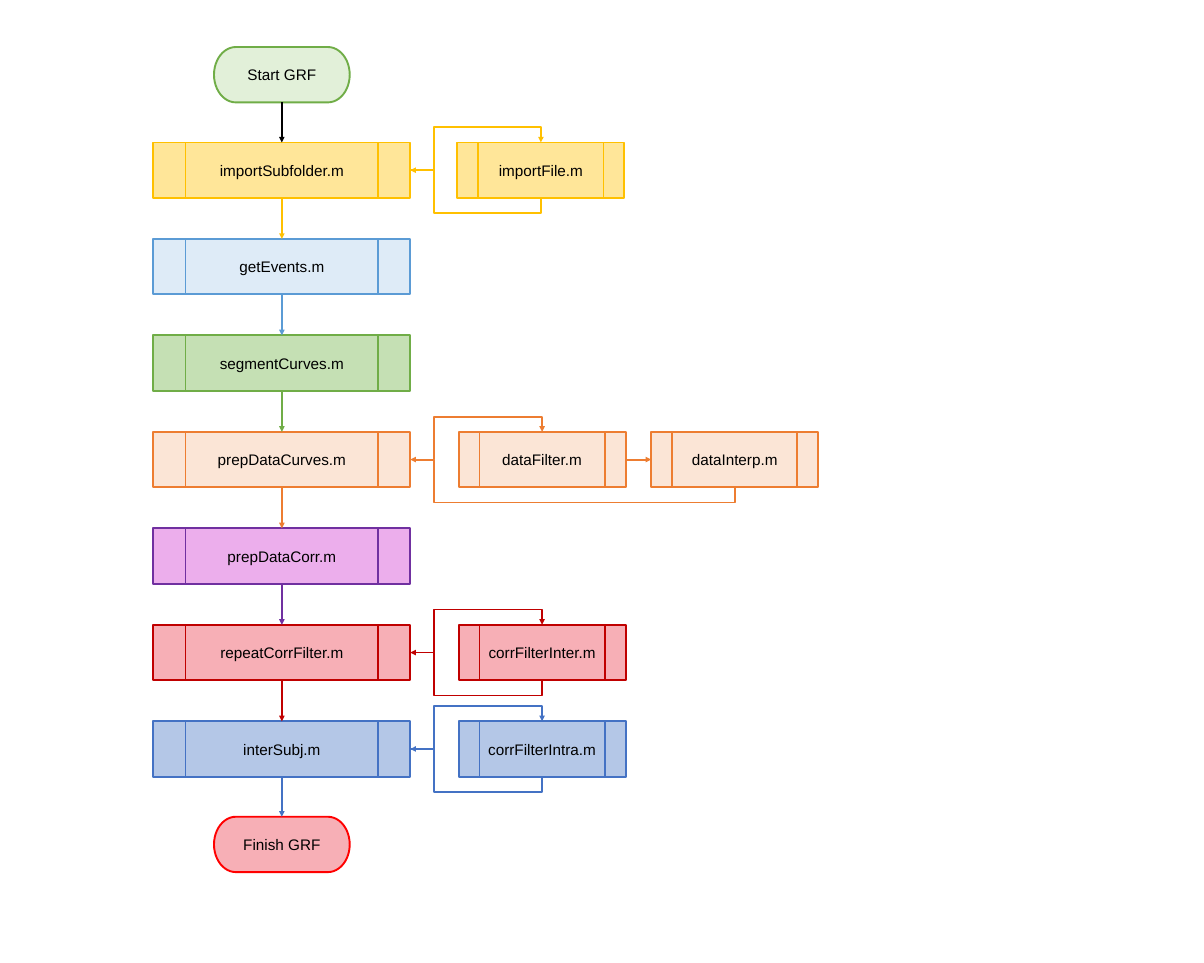
"""Draw the GRF script flow with its helper scripts."""
from dataclasses import dataclass
from itertools import pairwise
from typing import NamedTuple

from lxml.etree import SubElement
from pptx import Presentation
from pptx.dml.color import RGBColor
from pptx.enum.shapes import MSO_CONNECTOR, MSO_SHAPE
from pptx.enum.text import MSO_ANCHOR, PP_ALIGN
from pptx.oxml.ns import qn
from pptx.shapes.autoshape import Shape
from pptx.shapes.connector import Connector
from pptx.util import Pt


class Look(NamedTuple):
    fill: str
    line: str


@dataclass(frozen=True)
class Theme:
    font: str = "Arial"
    size: float = 18
    line: float = 2.25
    ink: str = "000000"
    start: Look = Look("E2F0D9", "70AD47")
    gold: Look = Look("FFE699", "FFC000")
    sky: Look = Look("DEEBF7", "5B9BD5")
    green: Look = Look("C5E0B4", "70AD47")
    peach: Look = Look("FBE5D6", "ED7D31")
    plum: Look = Look("ECAEEC", "7030A0")
    red: Look = Look("F7AFB6", "C00000")
    blue: Look = Look("B4C7E7", "4472C4")
    finish: Look = Look("F7AFB6", "FF0000")


class Step(NamedTuple):
    text: str
    look: Look
    left: float = 540
    helpers: tuple[str, ...] = ()


THEME = Theme()
MID, TOP, PITCH, END_GAP = 331.9, 167.8, 113.6, 112.4
HIGH, MAIN_W, END_W, SIDE_W, SIDE_STEP = 65.2, 302.4, 159.8, 196.6, 226.8
LANE, BUMP = Pt(MID + MAIN_W / 2 + 28), Pt(18)
NORTH, WEST, SOUTH, EAST = range(4)

START = Step("Start GRF", THEME.start)
FINISH = Step("Finish GRF", THEME.finish)
STEPS = (
    Step("importSubfolder.m", THEME.gold, 538.6, ("importFile.m",)),
    Step("getEvents.m", THEME.sky),
    Step("segmentCurves.m", THEME.green),
    Step("prepDataCurves.m", THEME.peach, helpers=("dataFilter.m", "dataInterp.m")),
    Step("prepDataCorr.m", THEME.plum),
    Step("repeatCorrFilter.m", THEME.red, helpers=("corrFilterInter.m",)),
    Step("interSubj.m", THEME.blue, helpers=("corrFilterIntra.m",)),
)

deck = Presentation()
deck.slide_width, deck.slide_height = Pt(1417.7), Pt(1134)
slide = deck.slides.add_slide(deck.slide_layouts[6])


def add_box(kind: MSO_SHAPE, text: str, look: Look, left: float, top: float, wide: float) -> Shape:
    """Add one labelled flowchart box."""
    box = slide.shapes.add_shape(kind, Pt(left), Pt(top), Pt(wide), Pt(HIGH))
    box.shadow.inherit = False
    box.fill.solid()
    box.fill.fore_color.rgb = RGBColor.from_string(look.fill)
    box.line.color.rgb = RGBColor.from_string(look.line)
    box.line.width = Pt(THEME.line)
    frame = box.text_frame
    frame.text = text
    frame.word_wrap = True
    frame.vertical_anchor = MSO_ANCHOR.MIDDLE
    par = frame.paragraphs[0]
    par.alignment = PP_ALIGN.CENTER
    font = par.runs[0].font
    font.name, font.size = THEME.font, Pt(THEME.size)
    font.color.rgb = RGBColor.from_string(THEME.ink)
    return box


def add_link(first: Shape, out: int, last: Shape, into: int, color: str,
             kind: MSO_CONNECTOR = MSO_CONNECTOR.STRAIGHT) -> Connector:
    """Join two boxes with an arrow."""
    link = slide.shapes.add_connector(kind, 0, 0, 0, 0)
    link.begin_connect(first, out)
    link.end_connect(last, into)
    link.line.color.rgb = RGBColor.from_string(color)
    link.line.width = Pt(THEME.line)
    SubElement(link.line._get_or_add_ln(), qn("a:tailEnd"), type="triangle")
    SubElement(link._element.spPr, qn("a:effectLst"))
    return link


def bend(link: Connector, *ratios: float) -> None:
    """Give an elbow three corners at the given ratios."""
    shape = link._element.spPr.find(qn("a:prstGeom"))
    shape.set("prst", "bentConnector4")
    guides = shape.find(qn("a:avLst"))
    if guides is None:
        guides = SubElement(shape, qn("a:avLst"))
    for rank, ratio in enumerate(ratios, 1):
        SubElement(guides, qn("a:gd"), name=f"adj{rank}", fmla=f"val {round(ratio * 100000)}")


def add_call(host: Shape, helper: Shape, color: str) -> None:
    """Lead from the host over the top of its helper."""
    link = add_link(host, EAST, helper, NORTH, color, MSO_CONNECTOR.ELBOW)
    bend(link, (LANE - link.begin_x) / link.width, 1 + BUMP / link.height)


def add_return(helper: Shape, host: Shape, color: str) -> None:
    """Lead from below the helper back to its host."""
    link = add_link(helper, SOUTH, host, EAST, color, MSO_CONNECTOR.ELBOW)
    wide, high = link.width, link.height
    bend(link, -BUMP / high, (link.begin_x - LANE) / wide)
    link.left += (wide - high) // 2
    link.top += (high - wide) // 2
    link.width, link.height = high, wide
    frame = link._element.spPr.find(qn("a:xfrm"))
    frame.set("rot", "5400000")
    frame.set("flipH", "1")
    frame.set("flipV", "0")


def add_end(step: Step, top: float) -> Shape:
    """Add a rounded start or finish box."""
    return add_box(MSO_SHAPE.FLOWCHART_TERMINATOR, step.text, step.look, MID - END_W / 2, top, END_W)


def add_step(step: Step, top: float) -> Shape:
    """Add a main step with its helper loop."""
    kind, color = MSO_SHAPE.FLOWCHART_PREDEFINED_PROCESS, step.look.line
    host = add_box(kind, step.text, step.look, MID - MAIN_W / 2, top, MAIN_W)
    sides = [add_box(kind, name, step.look, step.left + rank * SIDE_STEP, top, SIDE_W)
             for rank, name in enumerate(step.helpers)]
    for first, last in pairwise(sides):
        add_link(first, EAST, last, WEST, color)
    if sides:
        add_call(host, sides[0], color)
        add_return(sides[-1], host, color)
    return host


tops = [TOP + rank * PITCH for rank in range(len(STEPS))]
chain = [add_end(START, TOP - END_GAP), *map(add_step, STEPS, tops), add_end(FINISH, tops[-1] + END_GAP)]
colors = [THEME.ink, *(step.look.line for step in STEPS)]
for (first, last), color in zip(pairwise(chain), colors):
    add_link(first, SOUTH, last, NORTH, color)

deck.save("out.pptx")
